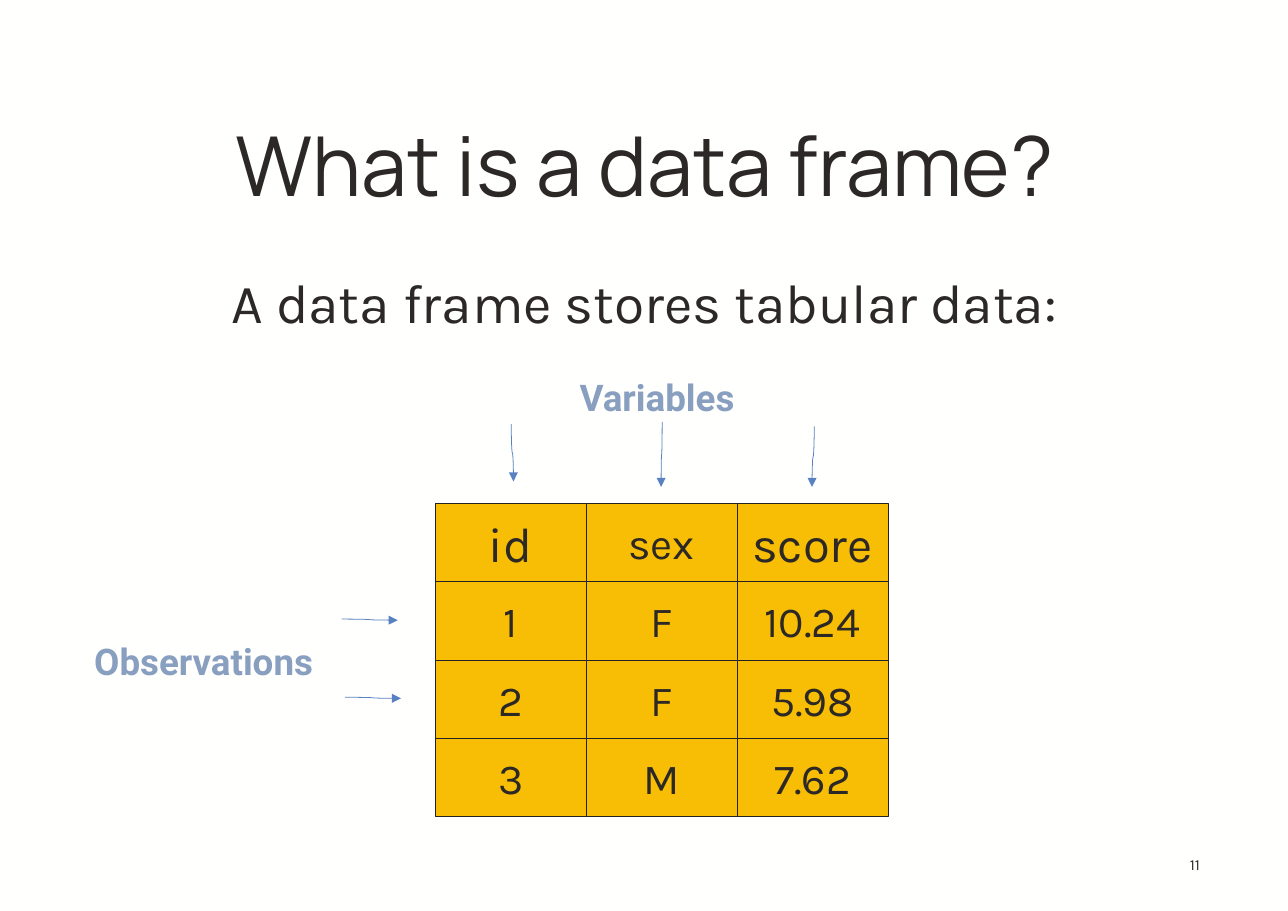
from dataclasses import dataclass

from lxml import etree
from pptx import Presentation
from pptx import util as u
from pptx.dml.color import RGBColor
from pptx.enum import shapes, text
from pptx.oxml import ns

PAPER = RGBColor(0xFF, 0xFF, 0xFE)
INK = RGBColor(0x2C, 0x28, 0x25)
AMBER = RGBColor(0xF8, 0xBE, 0x05)
BORDER = RGBColor(0x24, 0x22, 0x23)
LABEL_BLUE = RGBColor(0x89, 0x9F, 0xC0)
ARROW_BLUE = RGBColor(0x58, 0x81, 0xC1)

ROWS = [("id", "sex", "score"), ("1", "F", "10.24"), ("2", "F", "5.98"), ("3", "M", "7.62")]
LARGE_HEADERS = ("id", "score")
GRID_LEFT, GRID_TOP = 3.95, 4.57
CELL_WIDTH, CELL_HEIGHT = 1.37, 0.71


@dataclass(frozen=True)
class TextBox:
    wording: str
    left: float
    top: float
    width: float
    height: float
    size: float
    font: str = "Karla"
    color: RGBColor = INK
    bold: bool = False
    align: text.PP_ALIGN = text.PP_ALIGN.CENTER
    anchor: text.MSO_ANCHOR = text.MSO_ANCHOR.TOP
    side_inset: float = 0.08
    end_inset: float = 0.08
    line_spacing: float = 1.0


@dataclass(frozen=True)
class Arrow:
    x1: float
    y1: float
    x2: float
    y2: float


TEXT_BOXES = [
    TextBox("What is a data frame?", 0.73, 1.22, 10.24, 0.79, 54, "Manrope",
            anchor=text.MSO_ANCHOR.BOTTOM),
    TextBox("A data frame stores tabular data:", 0.26, 2.24, 11.18, 5.44, 36, line_spacing=1.2),
    TextBox("11", 10.18, 7.68, 0.79, 0.4, 10, align=text.PP_ALIGN.RIGHT),
    TextBox("Variables ", 3.97, 3.35, 4.07, 0.5, 24, "Roboto", LABEL_BLUE, True,
            side_inset=0.1, end_inset=0.05),
    TextBox("Observations ", 0.65, 5.75, 2.48, 0.91, 24, "Roboto", LABEL_BLUE, True,
            side_inset=0.1, end_inset=0.05),
]

ARROWS = [
    Arrow(4.64, 3.85, 4.66, 4.37),
    Arrow(6.01, 3.83, 6.0, 4.42),
    Arrow(7.39, 3.87, 7.37, 4.42),
    Arrow(3.1, 5.62, 3.61, 5.63),
    Arrow(3.13, 6.33, 3.64, 6.34),
]


def write_text(frame, wording: str, *, size: float, font: str = "Karla",
               color: RGBColor = INK, bold: bool = False,
               align: text.PP_ALIGN = text.PP_ALIGN.CENTER,
               anchor: text.MSO_ANCHOR = text.MSO_ANCHOR.MIDDLE,
               line_spacing: float = 1.0) -> None:
    frame.word_wrap = True
    frame.vertical_anchor = anchor
    paragraph = frame.paragraphs[0]
    paragraph.alignment = align
    paragraph.line_spacing = line_spacing
    run = paragraph.add_run()
    run.text = wording
    run.font.name = font
    run.font.size = u.Pt(size)
    run.font.bold = bold
    run.font.color.rgb = color


def add_text_box(slide, box: TextBox) -> None:
    shape = slide.shapes.add_textbox(u.Inches(box.left), u.Inches(box.top),
                                     u.Inches(box.width), u.Inches(box.height))
    frame = shape.text_frame
    frame.margin_left = frame.margin_right = u.Inches(box.side_inset)
    frame.margin_top = frame.margin_bottom = u.Inches(box.end_inset)
    write_text(frame, box.wording, size=box.size, font=box.font, color=box.color,
               bold=box.bold, align=box.align, anchor=box.anchor,
               line_spacing=box.line_spacing)


def add_cell(slide, wording: str, row_index: int, column_index: int) -> None:
    shape = slide.shapes.add_shape(
        shapes.MSO_SHAPE.RECTANGLE,
        u.Inches(GRID_LEFT + column_index * CELL_WIDTH),
        u.Inches(GRID_TOP + row_index * CELL_HEIGHT),
        u.Inches(CELL_WIDTH), u.Inches(CELL_HEIGHT))
    shape.shadow.inherit = False
    shape.fill.solid()
    shape.fill.fore_color.rgb = AMBER
    shape.line.color.rgb = BORDER
    shape.line.width = u.Pt(0.25)
    write_text(shape.text_frame, wording, size=32 if wording in LARGE_HEADERS else 28)


def add_arrow(slide, arrow: Arrow) -> None:
    x1, y1, x2, y2 = arrow.x1, arrow.y1, arrow.x2, arrow.y2
    vertical = abs(y2 - y1) > abs(x2 - x1)
    if vertical:
        center_x, center_y = (x1 + x2) / 2, (y1 + y2) / 2
        x1, y1, x2, y2 = (center_x + y1 - center_y, center_y + center_x - x1,
                          center_x + y2 - center_y, center_y + center_x - x2)
    connector = slide.shapes.add_connector(
        shapes.MSO_CONNECTOR.CURVE, u.Inches(x1), u.Inches(y1), u.Inches(x2), u.Inches(y2))
    connector.line.color.rgb = ARROW_BLUE
    connector.line.width = u.Pt(0.5)
    properties = connector._element.spPr
    if vertical:
        properties.find(ns.qn("a:xfrm")).set("rot", str(90 * 60000))
    etree.SubElement(properties.find(ns.qn("a:ln")), ns.qn("a:tailEnd"), type="triangle")
    etree.SubElement(properties, ns.qn("a:effectLst"))


def main() -> None:
    presentation = Presentation()
    presentation.slide_width = u.Inches(11.69)
    presentation.slide_height = u.Inches(8.27)
    slide = presentation.slides.add_slide(presentation.slide_layouts[6])
    slide.background.fill.solid()
    slide.background.fill.fore_color.rgb = PAPER
    for box in TEXT_BOXES:
        add_text_box(slide, box)
    for row_index, row in enumerate(ROWS):
        for column_index, wording in enumerate(row):
            add_cell(slide, wording, row_index, column_index)
    for arrow in ARROWS:
        add_arrow(slide, arrow)
    presentation.save("out.pptx")


if __name__ == "__main__":
    main()
